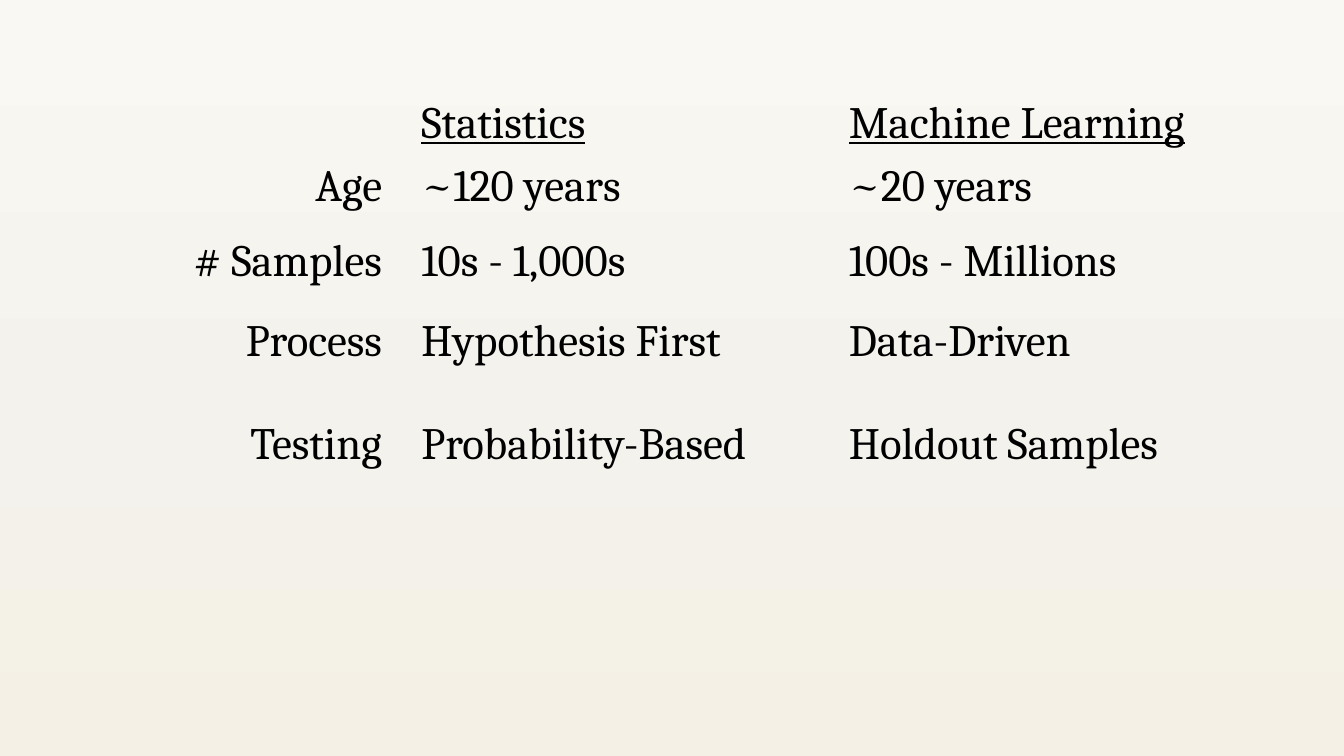
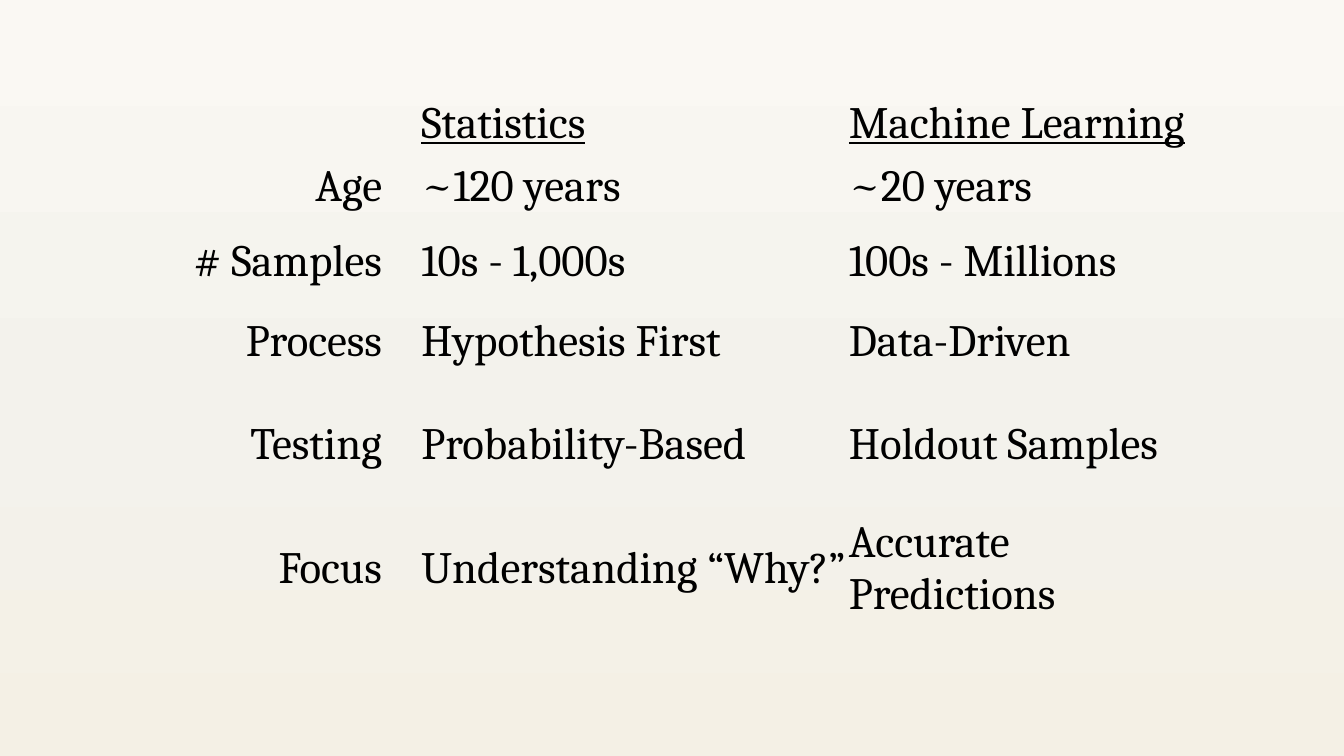
from copy import deepcopy

from pptx import Presentation
from pptx.dml.color import RGBColor
from pptx.enum.text import MSO_ANCHOR as ANCHOR, PP_ALIGN as ALIGN
from pptx.oxml.ns import qn
from pptx.util import Inches, Pt

BACKDROP = [(0, "FAF8F3"), (0.56, "F3F2EC"), (1, "F4F0E5")]
INK = "000000"
NO_STYLE = "{2D5ABB26-0587-4C30-8999-92F81FD0307C}"
TABLE_BOX = (1.33, 0.73, 11.07, 5.89)
COLUMNS = [2.46, 4.63, 3.98]
ROWS = [0.76, 0.62, 0.75, 0.79, 1.02, 1.95]
INDENT = 0.39
FONT = {"name": "Cambria", "size": Pt(32)}
CELL = dict.fromkeys(
    ["margin_left", "margin_top", "margin_right", "margin_bottom"], 0)

COMPARISON = [
    ("", "Statistics", "Machine Learning"),
    ("Age", "~120 years", "~20 years"),
    ("# Samples", "10s - 1,000s", "100s - Millions"),
    ("Process", "Hypothesis First", "Data-Driven"),
    ("Testing", "Probability-Based", "Holdout Samples"),
]
FOCUS = ("Focus", "Understanding “Why?”", "Accurate\nPredictions")


def color(hex_value):
    return RGBColor.from_string(hex_value)


def set_attrs(obj, values):
    for name, value in values.items():
        setattr(obj, name, value)


def paint_backdrop(master):
    fill = master.background.fill
    fill.gradient()
    fill.gradient_angle = 270
    stops = master.element.find(".//" + qn("a:gsLst"))
    stops.insert(1, deepcopy(stops[0]))
    for stop, (position, hex_value) in zip(fill.gradient_stops, BACKDROP):
        stop.position = position
        stop.color.rgb = color(hex_value)


def fill_cell(cell, text, row, col):
    last = row == len(ROWS) - 1
    set_attrs(cell, CELL)
    cell.vertical_anchor = ANCHOR.MIDDLE if last else ANCHOR.BOTTOM
    cell.fill.background()
    if not text:
        return
    cell.text_frame.text = text
    for p in cell.text_frame.paragraphs:
        p.alignment = ALIGN.RIGHT if col == 0 else ALIGN.LEFT
        if col == 1:
            p._p.get_or_add_pPr().set("marL", str(Inches(INDENT)))
        for r in p.runs:
            set_attrs(r.font, FONT)
            r.font.underline = row == 0
            r.font.color.rgb = color(INK)


def add_comparison(s, box, records):
    x, y, w, h = map(Inches, box)
    table = s.shapes.add_table(len(ROWS), len(COLUMNS), x, y, w, h).table
    set_attrs(table, {"first_row": False, "horz_banding": False})
    table._tbl.tblPr.find(qn("a:tableStyleId")).text = NO_STYLE
    for column, share in zip(table.columns, COLUMNS):
        column.width = int(w * share / sum(COLUMNS))
    for row, share in zip(table.rows, ROWS):
        row.height = int(h * share / sum(ROWS))
    for i, record in enumerate(records):
        for j, text in enumerate(record):
            fill_cell(table.cell(i, j), text, i, j)


def main():
    prs = Presentation()
    set_attrs(prs, {"slide_width": Inches(13.33), "slide_height": Inches(7.5)})
    paint_backdrop(prs.slide_master)
    for last_record in [("", "", ""), FOCUS]:
        s = prs.slides.add_slide(prs.slide_layouts[6])
        add_comparison(s, TABLE_BOX, COMPARISON + [last_record])
    prs.save("out.pptx")


if __name__ == "__main__":
    main()
